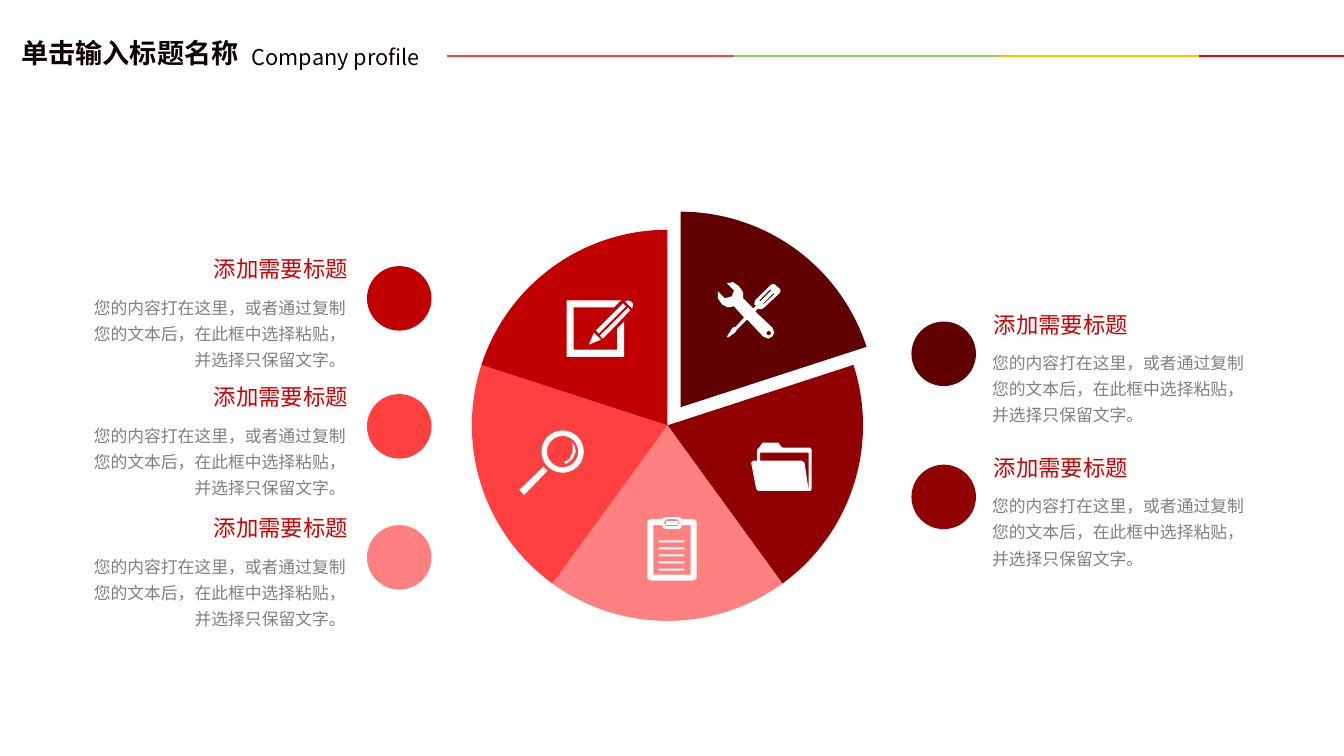
from lxml import etree
from pptx import Presentation
from pptx.dml.color import RGBColor
from pptx.enum.shapes import MSO_CONNECTOR, MSO_SHAPE
from pptx.enum.text import MSO_ANCHOR, PP_ALIGN
from pptx.oxml.ns import qn
from pptx.util import Inches, Pt

LEFT, RIGHT = PP_ALIGN.LEFT, PP_ALIGN.RIGHT
TOP, MIDDLE = MSO_ANCHOR.TOP, MSO_ANCHOR.MIDDLE
PIE, OVAL, DONUT = MSO_SHAPE.PIE, MSO_SHAPE.OVAL, MSO_SHAPE.DONUT
ROUNDED = MSO_SHAPE.ROUNDED_RECTANGLE
STRAIGHT = MSO_CONNECTOR.STRAIGHT

FONT = "Noto Sans CJK SC"
COLORS = {
    "maroon": "600000", "dark": "900000", "pink": "FF8080", "coral": "FF4040",
    "crimson": "C00000", "heading": "D00000", "gray": "808080", "ink": "0D0000",
    "green": "92D050", "gold": "FFC000", "red": "FF0000", "white": "FFFFFF",
}
HEADING = "添加需要标题"
BODY = "您的内容打在这里，或者通过复制您的文本后，在此框中选择粘贴，并选择只保留文字。"


def rgb(name):
    return RGBColor.from_string(COLORS[name])


def add_text(box, text, size, color, bold=False, align=LEFT, anchor=TOP,
             spacing=1.0, inset=True):
    tf = box.text_frame
    tf.word_wrap = True
    tf.vertical_anchor = anchor
    if not inset:
        tf.margin_left = tf.margin_right = tf.margin_top = tf.margin_bottom = 0
    p = tf.paragraphs[0]
    p.alignment = align
    p.line_spacing = spacing
    r = p.add_run()
    r.text = text
    r.font.size = Pt(size)
    r.font.bold = bold
    r.font.color.rgb = rgb(color)
    r.font.name = FONT
    etree.SubElement(r._r.get_or_add_rPr(), qn("a:ea"), typeface=FONT)


prs = Presentation()
prs.slide_width, prs.slide_height = Inches(13.33), Inches(7.5)
s = prs.slides.add_slide(prs.slide_layouts[5])
shapes = s.shapes
painted = []  # (shape, colour name), filled in one pass at the end

# Header
title = shapes.title
title.left, title.top = Inches(0.11), Inches(0.31)
title.width, title.height = Inches(2.55), Inches(0.43)
add_text(title, "单击输入标题名称", 19.4, "ink", bold=True)
subtitle = shapes.add_textbox(Inches(2.4), Inches(0.39), Inches(2.55), Inches(0.36))
add_text(subtitle, "Company profile", 15.5, "ink")

stops = [4.43, 7.28, 9.9, 11.89, 13.33]
for x1, x2, color in zip(stops, stops[1:], ["coral", "green", "gold", "red"]):
    line = shapes.add_connector(STRAIGHT, Inches(x1), Inches(0.56), Inches(x2), Inches(0.56))
    line.line.color.rgb = rgb(color)
    line.line.width = Pt(1.5)
    etree.SubElement(line._element.spPr, qn("a:effectLst"))

# Captions with their coloured dots
SIDES = {  # dot x, heading x, body x, body width, alignment
    "left": (3.64, 1.35, 0.89, 2.54, RIGHT),
    "right": (9.04, 9.76, 9.84, 2.58, LEFT),
}
captions = [("left", 2.64, "crimson"), ("left", 3.91, "coral"), ("left", 5.21, "pink"),
            ("right", 3.19, "maroon"), ("right", 4.61, "dark")]
for side, y, color in captions:
    dot_x, heading_x, body_x, body_w, align = SIDES[side]
    dot = shapes.add_shape(OVAL, Inches(dot_x), Inches(y), Inches(0.64), Inches(0.64))
    painted.append((dot, color))
    heading = shapes.add_textbox(Inches(heading_x), Inches(y - 0.12), Inches(2.2), Inches(0.29))
    add_text(heading, HEADING, 16, "heading", align=align, anchor=MIDDLE)
    body = shapes.add_textbox(Inches(body_x), Inches(y + 0.25), Inches(body_w), Inches(0.79))
    add_text(body, BODY, 12, "gray", align=align, spacing=1.3, inset=False)

# Five equal slices clockwise from the top, the first pulled out
for i, color in enumerate(["maroon", "dark", "pink", "coral", "crimson"]):
    x, y = (4.81, 2.1) if i == 0 else (4.68, 2.28)
    pie = shapes.add_shape(PIE, Inches(x), Inches(y), Inches(3.88), Inches(3.88))
    for k in range(2):
        degrees = (270 + 72 * (i + k)) % 360
        pie.adjustments[k] = degrees * 0.6  # 60000ths of a degree over 100000
    painted.append((pie, color))

# Icons: each outline is a list of contours, the later ones being holes
tools = [
    [(7.74, 2.87), (7.68, 2.82), (7.66, 2.82), (7.64, 2.83), (7.49, 2.98), (7.48, 3.02),
     (7.5, 3.03), (7.47, 3.06), (7.37, 2.96), (7.37, 2.9), (7.33, 2.84), (7.27, 2.8),
     (7.21, 2.81), (7.28, 2.88), (7.26, 2.94), (7.19, 2.96), (7.12, 2.89), (7.12, 2.96),
     (7.16, 3.02), (7.22, 3.05), (7.28, 3.04), (7.38, 3.15), (7.29, 3.25), (7.28, 3.24),
     (7.26, 3.26), (7.21, 3.34), (7.22, 3.35), (7.29, 3.3), (7.31, 3.27), (7.41, 3.17),
     (7.57, 3.34), (7.62, 3.36), (7.66, 3.34), (7.68, 3.3), (7.66, 3.25), (7.49, 3.09),
     (7.52, 3.06), (7.54, 3.07), (7.57, 3.06), (7.72, 2.92), (7.74, 2.9)],
    [(7.62, 3.28), (7.64, 3.29), (7.65, 3.31), (7.64, 3.32), (7.62, 3.33), (7.61, 3.32),
     (7.6, 3.31), (7.61, 3.29)],
    [(7.54, 2.99), (7.53, 2.98), (7.64, 2.87), (7.65, 2.88)],
    [(7.57, 3.02), (7.56, 3.02), (7.67, 2.91), (7.68, 2.92)],
]
folder = [
    [(8.05, 4.85), (8.05, 4.46), (8.03, 4.44), (7.76, 4.44), (7.74, 4.42), (7.72, 4.39),
     (7.57, 4.39), (7.55, 4.41), (7.53, 4.44), (7.51, 4.46), (7.51, 4.57), (7.47, 4.57),
     (7.45, 4.59), (7.5, 4.85), (7.52, 4.87), (8.04, 4.87)],
    [(8.02, 4.6), (8.02, 4.86), (7.98, 4.59), (7.95, 4.57), (7.54, 4.57), (7.54, 4.49),
     (8.02, 4.49)],
]
pencil_tip = [[(5.96, 3.37), (5.89, 3.3), (5.84, 3.42)]]
pencil_upper = [[(6.18, 3.01), (5.91, 3.28), (5.94, 3.31), (6.21, 3.04)]]
pencil_lower = [[(5.95, 3.33), (5.98, 3.36), (6.25, 3.08), (6.23, 3.05)]]
pencil_cap = [[(6.26, 2.99), (6.23, 2.98), (6.2, 2.99), (6.27, 3.06), (6.28, 3.02)]]
paper = [[(6.12, 3.47), (5.69, 3.47), (5.69, 3.05), (6.09, 3.05), (6.16, 2.98), (5.62, 2.98),
          (5.62, 3.54), (6.19, 3.54), (6.19, 3.19), (6.12, 3.26)]]
board = [[(6.87, 5.15), (6.76, 5.15), (6.76, 5.21), (6.85, 5.21), (6.85, 5.7), (6.48, 5.7),
          (6.48, 5.21), (6.57, 5.21), (6.57, 5.15), (6.46, 5.15), (6.43, 5.16), (6.42, 5.18),
          (6.42, 5.73), (6.43, 5.75), (6.46, 5.76), (6.87, 5.76), (6.9, 5.75), (6.91, 5.73),
          (6.91, 5.18), (6.9, 5.16)]]
clip = [
    [(6.6, 5.25), (6.73, 5.25), (6.75, 5.24), (6.76, 5.22), (6.76, 5.14), (6.73, 5.13),
     (6.6, 5.13), (6.57, 5.14), (6.57, 5.22), (6.58, 5.24)],
    [(6.59, 5.17), (6.6, 5.16), (6.62, 5.15), (6.71, 5.15), (6.73, 5.16), (6.73, 5.21),
     (6.71, 5.22), (6.62, 5.22), (6.6, 5.21), (6.59, 5.19)],
]
clip_plate = [[(6.61, 5.17), (6.72, 5.17), (6.72, 5.21), (6.61, 5.21)]]
lens_handle = [[(5.15, 4.86), (5.2, 4.91), (5.43, 4.67), (5.39, 4.63)]]
lens_glint = [[(5.68, 4.39), (5.68, 4.48), (5.65, 4.55), (5.59, 4.59), (5.62, 4.6),
               (5.68, 4.55), (5.71, 4.48), (5.7, 4.43)]]
for outline in [tools, folder, pencil_tip, pencil_upper, pencil_lower, pencil_cap, paper,
                board, clip, clip_plate, lens_handle, lens_glint]:
    contours = [[(Inches(x), Inches(y)) for x, y in contour] for contour in outline]
    builder = shapes.build_freeform(*contours[0][0])
    builder.add_line_segments(contours[0][1:])
    for hole in contours[1:]:
        builder.move_to(*hole[0])
        builder.add_line_segments(hole[1:])
    painted.append((builder.convert_to_shape(), "white"))

for i in range(5):
    rule = shapes.add_shape(ROUNDED, Inches(6.53), Inches(5.36 + 0.07 * i), Inches(0.26), Inches(0.02))
    rule.adjustments[0] = 0.5
    painted.append((rule, "white"))

lens = shapes.add_shape(DONUT, Inches(5.37), Inches(4.27), Inches(0.42), Inches(0.42))
lens.adjustments[0] = 0.13
painted.append((lens, "white"))

for shape, color in painted:
    shape.shadow.inherit = False
    shape.fill.solid()
    shape.fill.fore_color.rgb = rgb(color)
    shape.line.fill.background()

prs.save("out.pptx")
